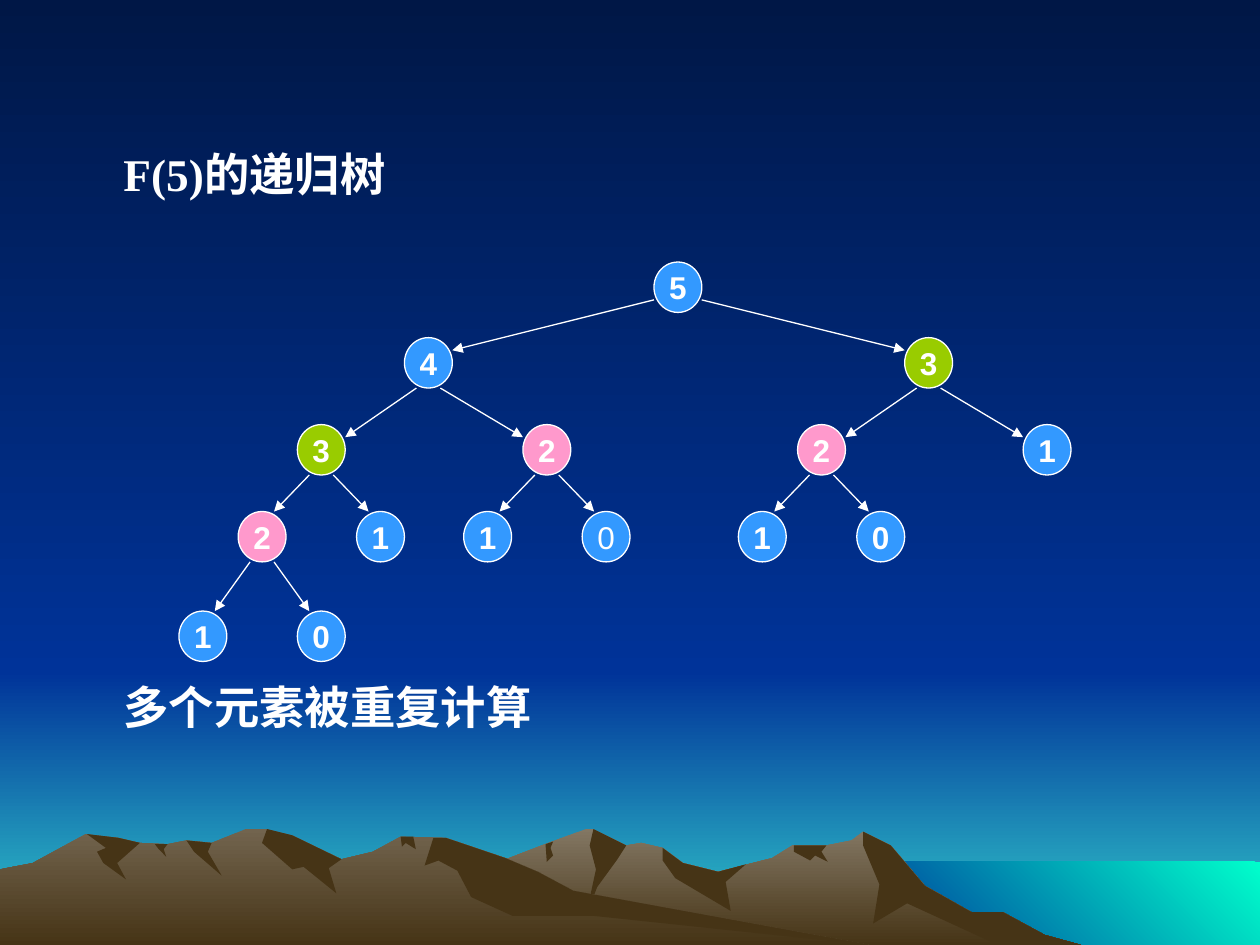
"""Build a slide with the recursion tree of F(5) above a mountain scene."""
import pptx
import pptx.dml.color
import pptx.enum.shapes
import pptx.enum.text
import pptx.oxml.ns
import pptx.util
from dataclasses import dataclass
from lxml import etree

COLS, ROWS = 1000, 750
SHORE = 533
WHITE, NAVY, BLUE, BROWN = "FFFFFF", "001746", "003399", "463416"
SHAPES = pptx.enum.shapes.MSO_SHAPE

WIDE, HIGH = 38, 40
ROOT = 519
TOPS = [208, 268, 337, 406, 485]
SPREAD = [(-198, 199), (-85, 94), (-47, 47), (-47, 47)]
SHARED = {3: "99CC00", 2: "FF99CC"}
SINGLE = "3399FF"
LIGHT = (5, 4, 2, 0)


@dataclass
class Band:
    """A box of sky or sea with its two colours and its angle."""
    left: int
    top: int
    wide: int
    high: int
    tones: tuple
    angle: int = 270


@dataclass
class Shade:
    """A dark slope: its stretch of the crest, and its foot from right to left."""
    left: int
    right: int
    foot: list


@dataclass
class Range:
    """A mountain range: its colour at the top, its crest and its shades."""
    tone: str
    crest: list
    shades: list


BANDS = [
    Band(0, 0, COLS, SHORE + 2, (NAVY, BLUE)),
    Band(0, SHORE, COLS, ROWS - SHORE, (BLUE, "33CCCC")),
    Band(683, 684, COLS - 683, ROWS - 684, ("00FFCC", BLUE), 225),
]

FAR = Range(
    "837763",
    [(258, 750), (277, 739), (327, 709), (394, 685), (430, 671), (465, 658), (471, 658),
     (497, 671), (509, 669), (526, 673), (542, 685), (570, 692), (613, 681), (629, 671),
     (656, 671), (676, 667), (685, 660), (707, 671), (734, 703), (771, 724), (796, 724),
     (829, 742), (858, 750)],
    [Shade(433, 439, [(437, 673), (439, 679), (434, 684)]),
     Shade(471, 497, [(490, 682), (474, 704), (465, 727), (473, 690), (468, 671)]),
     Shade(526, 592, [(576, 700), (580, 723), (536, 697), (526, 683)]),
     Shade(630, 656, [(652, 676), (657, 684), (647, 679), (643, 683), (630, 676)]),
     Shade(685, 858, [(792, 750), (720, 717), (693, 733), (698, 702), (685, 671)])])

NEAR = Range(
    "72644E",
    [(0, 690), (26, 685), (68, 662), (94, 665), (111, 669), (133, 670), (148, 667),
     (168, 669), (195, 658), (212, 658), (232, 663), (271, 682), (296, 676), (318, 664),
     (354, 665), (401, 681), (427, 692), (455, 707), (690, 750)],
    [Shade(69, 111, [(93, 685), (100, 698), (82, 685), (77, 676), (84, 673)]),
     Shade(123, 133, [(130, 674), (132, 680), (126, 674)]),
     Shade(148, 168, [(165, 676), (176, 695), (154, 676)]),
     Shade(212, 271, [(261, 689), (267, 709), (241, 688), (232, 690), (208, 669)]),
     Shade(318, 328, [(330, 674), (322, 669), (319, 672)]),
     Shade(344, 690, [(472, 727), (407, 727), (374, 712), (363, 691), (348, 683), (337, 687)])])


def span(units: float) -> int:
    """Turn grid units, a hundredth of an inch each, into a length."""
    return pptx.util.Inches(units / 100)


def tint(code: str) -> pptx.dml.color.RGBColor:
    """Turn a hex string into a colour."""
    return pptx.dml.color.RGBColor.from_string(code)


def put(item: object, values: dict) -> None:
    """Set each named value on the item."""
    for name, value in values.items():
        setattr(item, name, value)


def blend(fill: object, tones: tuple, angle: int = 270) -> None:
    """Fill with a blend from the first colour to the second."""
    fill.gradient()
    fill.gradient_angle = angle
    for stop, code in zip(fill.gradient_stops, tones):
        stop.color.rgb = tint(code)


def flat(fill: object, code: str) -> None:
    """Fill with one colour."""
    fill.solid()
    fill.fore_color.rgb = tint(code)


def bare(shape: object) -> object:
    """Take the shadow and the outline off a shape."""
    shape.shadow.inherit = False
    shape.line.fill.background()
    return shape


def stroke(line: object) -> None:
    """Make a line thin and white."""
    line.width = pptx.util.Pt(0.75)
    line.color.rgb = tint(WHITE)


def write(para: object, text: str, size: float, face: str, bold: bool = True) -> None:
    """Add white text to a paragraph."""
    run = para.add_run()
    run.text = text
    put(run.font, {"size": pptx.util.Pt(size), "name": face, "bold": bold})
    run.font.color.rgb = tint(WHITE)


def draw_band(slide: object, band: Band) -> None:
    """Draw a band of sky or sea."""
    place = map(span, (band.left, band.top, band.wide, band.high))
    shape = bare(slide.shapes.add_shape(SHAPES.RECTANGLE, *place))
    blend(shape.fill, band.tones, band.angle)


def outline(slide: object, points: list) -> object:
    """Draw a closed outline through the points."""
    pen = slide.shapes.build_freeform(*points[0], scale=span(1))
    pen.add_line_segments(points[1:], close=True)
    return bare(pen.convert_to_shape())


def height(crest: list, col: int) -> int:
    """Find the row of the crest at a column."""
    for (left, top), (right, low) in zip(crest, crest[1:]):
        if left <= col <= right:
            return round(top + (low - top) * (col - left) / (right - left))
    return ROWS


def draw_range(slide: object, hills: Range) -> None:
    """Draw a range down to the slide's foot, then hang each shade from its crest."""
    crest = hills.crest
    base = [(crest[-1][0], ROWS), (crest[0][0], ROWS)]
    blend(outline(slide, crest + base).fill, (hills.tone, BROWN))
    for shade in hills.shades:
        ends = [(col, height(crest, col)) for col in (shade.left, shade.right)]
        inner = [point for point in crest if shade.left < point[0] < shade.right]
        points = [ends[0], *inner, ends[1], *shade.foot]
        flat(outline(slide, points).fill, BROWN)


def draw_arrow(slide: object, start: tuple, end: tuple) -> None:
    """Draw a thin white arrow."""
    straight = pptx.enum.shapes.MSO_CONNECTOR.STRAIGHT
    arrow = slide.shapes.add_connector(straight, *map(span, start + end))
    stroke(arrow.line)
    form = arrow.element.spPr
    etree.SubElement(form.find(pptx.oxml.ns.qn("a:ln")), pptx.oxml.ns.qn("a:tailEnd"), type="triangle")
    etree.SubElement(form, pptx.oxml.ns.qn("a:effectLst"))


def draw_call(slide: object, trail: tuple, col: int) -> None:
    """Draw the last call of a trail, then F(n - 1) and F(n - 2) below it."""
    value, depth = trail[-1], len(trail) - 1
    top = TOPS[depth]
    shape = slide.shapes.add_shape(SHAPES.OVAL, *map(span, (col, top, WIDE, HIGH)))
    shape.shadow.inherit = False
    flat(shape.fill, SHARED.get(value, SINGLE))
    stroke(shape.line)
    put(shape.text_frame, {"word_wrap": False, "vertical_anchor": pptx.enum.text.MSO_ANCHOR.MIDDLE})
    para = shape.text_frame.paragraphs[0]
    para.alignment = pptx.enum.text.PP_ALIGN.CENTER
    write(para, str(value), 18, "Arial", trail != LIGHT)
    if value < 2:
        return
    for side, shift in enumerate(SPREAD[depth]):
        kid, low = col + shift, TOPS[depth + 1]
        start = (col + WIDE * (0.25 + side / 2), top + HIGH)
        end = (kid + WIDE * (0.75 - side / 2), low)
        if depth == 0:
            start = (col + WIDE * side, top + HIGH * 0.75)
        if depth < 2:
            end = (kid + WIDE * (1 - side), low + HIGH * 0.25)
        draw_arrow(slide, start, end)
        draw_call(slide, (*trail, value - 1 - side), kid)


def write_body(body: object) -> None:
    """Write the heading above the tree and the remark below it."""
    put(body, dict(zip(("left", "top", "width", "height"), map(span, (50, 117, 900, 492)))))
    frame = body.text_frame
    put(frame, {"word_wrap": True, "auto_size": pptx.enum.text.MSO_AUTO_SIZE.NONE,
                "vertical_anchor": pptx.enum.text.MSO_ANCHOR.TOP})
    head, note = frame.paragraphs[0], frame.add_paragraph()
    for para, gap in ((head, 0), (note, 278)):
        put(para, {"line_spacing": 0.86, "space_before": pptx.util.Pt(gap)})
        form = para._p.get_or_add_pPr()
        put(form, {"marL": span(38), "indent": 0}) if hasattr(form, "marL") else form.attrib.update(
            {"marL": str(span(38)), "indent": "0"})
        etree.SubElement(form, pptx.oxml.ns.qn("a:buNone"))
    write(head, "F(5)", 25.9, "Times New Roman")
    write(head, "的递归树", 25.9, "Arial")
    write(note, "多个元素被重复计算", 25.9, "Arial")


def main() -> None:
    """Build and save the slide."""
    deck = pptx.Presentation()
    put(deck, {"slide_width": span(COLS), "slide_height": span(ROWS)})
    slide = deck.slides.add_slide(deck.slide_layouts[1])
    blend(slide.background.fill, (NAVY, BLUE))
    title, body = slide.placeholders
    tree = body.element.getparent()
    tree.remove(title.element)
    for band in BANDS:
        draw_band(slide, band)
    for hills in (FAR, NEAR):
        draw_range(slide, hills)
    tree.append(body.element)
    write_body(body)
    draw_call(slide, (5,), ROOT)
    deck.save("out.pptx")


if __name__ == "__main__":
    main()
